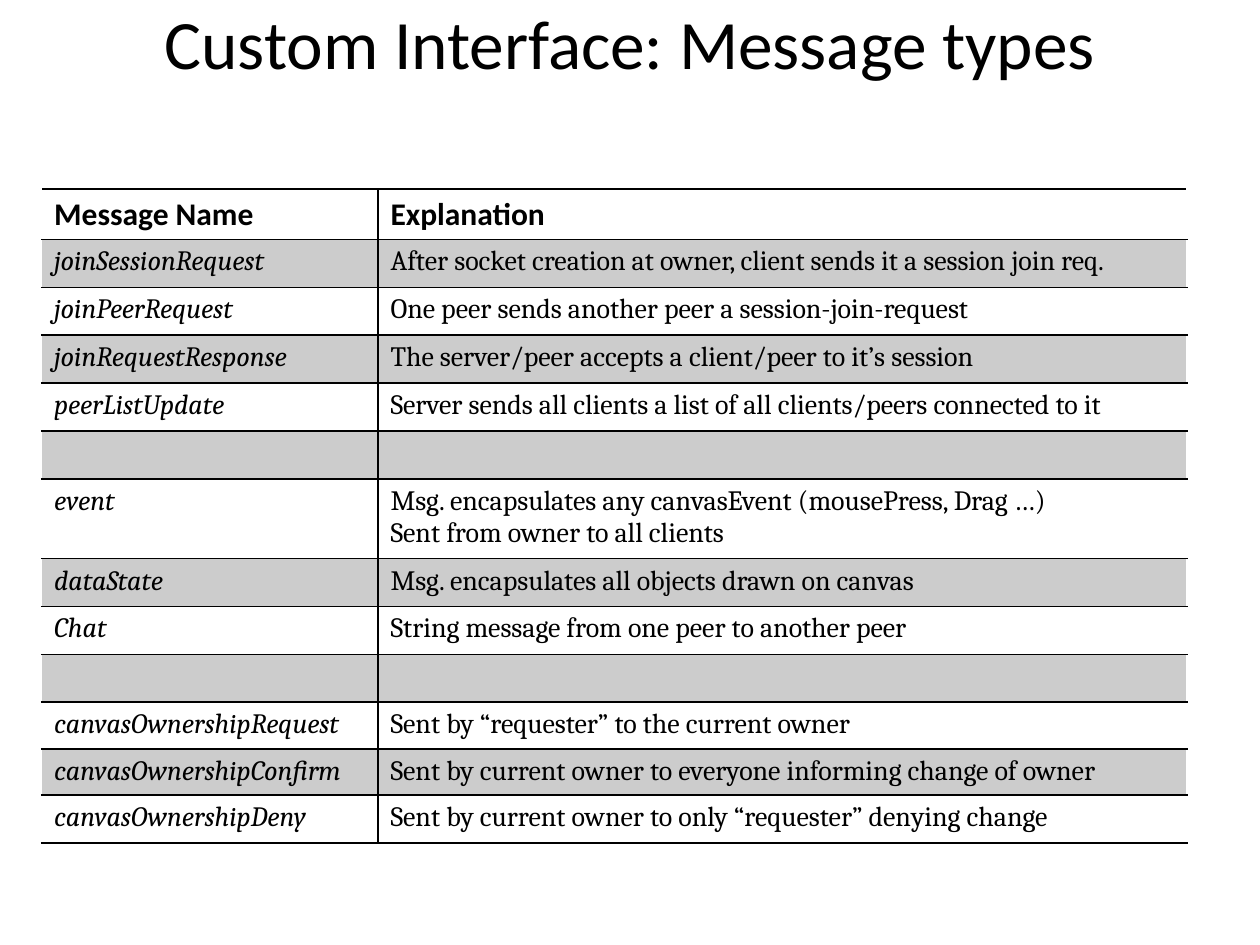
from lxml import etree
from pptx import Presentation
from pptx.dml.color import RGBColor
from pptx.enum.text import MSO_ANCHOR, PP_ALIGN
from pptx.oxml.ns import qn
from pptx.util import Inches, Pt

# Content
TITLE = "Custom Interface: Message types"
HEADER = ("Message Name", "Explanation")
MESSAGES = [
    ("joinSessionRequest", "After socket creation at owner, client sends it a session join req."),
    ("joinPeerRequest", "One peer sends another peer a session-join-request"),
    ("joinRequestResponse", "The server/peer accepts a client/peer to it’s session"),
    ("peerListUpdate", "Server sends all clients a list of all clients/peers connected to it"),
    ("", ""),
    ("event", "Msg. encapsulates any canvasEvent (mousePress, Drag …)\vSent from owner to all clients"),
    ("dataState", "Msg. encapsulates all objects drawn on canvas"),
    ("Chat", "String message from one peer to another peer"),
    ("", ""),
    ("canvasOwnershipRequest", "Sent by “requester” to the current owner"),
    ("canvasOwnershipConfirm", "Sent by current owner to everyone informing change of owner"),
    ("canvasOwnershipDeny", "Sent by current owner to only “requester” denying change"),
]

# Theme and layout
THEME = {
    "ink": RGBColor(0, 0, 0), "band_alpha": 20, "border": Pt(1),
    "title": ("Calibri", 39.6), "header": ("Calibri", 18), "body": ("Cambria", 16),
}
COLUMN_WIDTHS = (2.67, 6.42)
ROW_HEIGHT = 0.38
SPECIAL_HEIGHTS = {0: 0.4, 6: 0.61, 10: 0.37, 11: 0.36}


def style(font, role, bold=False, italic=False):
    font.name, size = THEME[role]
    font.size = Pt(size)
    font.bold, font.italic = bold, italic
    font.color.rgb = THEME["ink"]


def add_borders(cell, sides):
    for side in sides:
        line = etree.SubElement(cell._tc.get_or_add_tcPr(), qn(f"a:ln{side}"), w=str(THEME["border"]))
        fill = etree.SubElement(line, qn("a:solidFill"))
        etree.SubElement(fill, qn("a:srgbClr"), val=str(THEME["ink"]))


def fill_cell(cell, banded):
    if not banded:
        cell.fill.background()
        return
    cell.fill.solid()
    cell.fill.fore_color.rgb = THEME["ink"]
    color = cell._tc.tcPr.find(qn("a:solidFill")).find(qn("a:srgbClr"))
    etree.SubElement(color, qn("a:alpha"), val=str(THEME["band_alpha"] * 1000))


def write_cell(cell, text, role, bold, italic):
    cell.text = text
    paragraph = cell.text_frame.paragraphs[0]
    for run in paragraph.runs:
        style(run.font, role, bold, italic)
    if not text:
        etree.SubElement(paragraph._p, qn("a:endParaRPr"), sz=str(THEME[role][1] * 100))


prs = Presentation()
prs.slide_width, prs.slide_height = Inches(10), Inches(7.5)
slide = prs.slides.add_slide(prs.slide_layouts[6])

# Title
title = slide.shapes.add_textbox(Inches(0.75), 0, Inches(8.5), Inches(0.67)).text_frame
title.word_wrap = True
title.vertical_anchor = MSO_ANCHOR.MIDDLE
title.text = TITLE
title.paragraphs[0].alignment = PP_ALIGN.CENTER
style(title.paragraphs[0].runs[0].font, "title")

# Message table
rows = [HEADER] + MESSAGES
heights = [SPECIAL_HEIGHTS.get(i, ROW_HEIGHT) for i in range(len(rows))]
table = slide.shapes.add_table(
    len(rows), len(HEADER), Inches(0.33), Inches(1.5),
    Inches(sum(COLUMN_WIDTHS)), Inches(sum(heights))).table
for column, width in zip(table.columns, COLUMN_WIDTHS):
    column.width = Inches(width)
for r, (row, height) in enumerate(zip(rows, heights)):
    table.rows[r].height = Inches(height)
    for c, text in enumerate(row):
        cell = table.cell(r, c)
        is_header = r == 0
        write_cell(cell, text, "header" if is_header else "body",
                   bold=is_header, italic=not is_header and c == 0)
        add_borders(cell, "RTB" if c == 0 else "LTB")
        fill_cell(cell, banded=r % 2 == 1)

prs.save("out.pptx")
